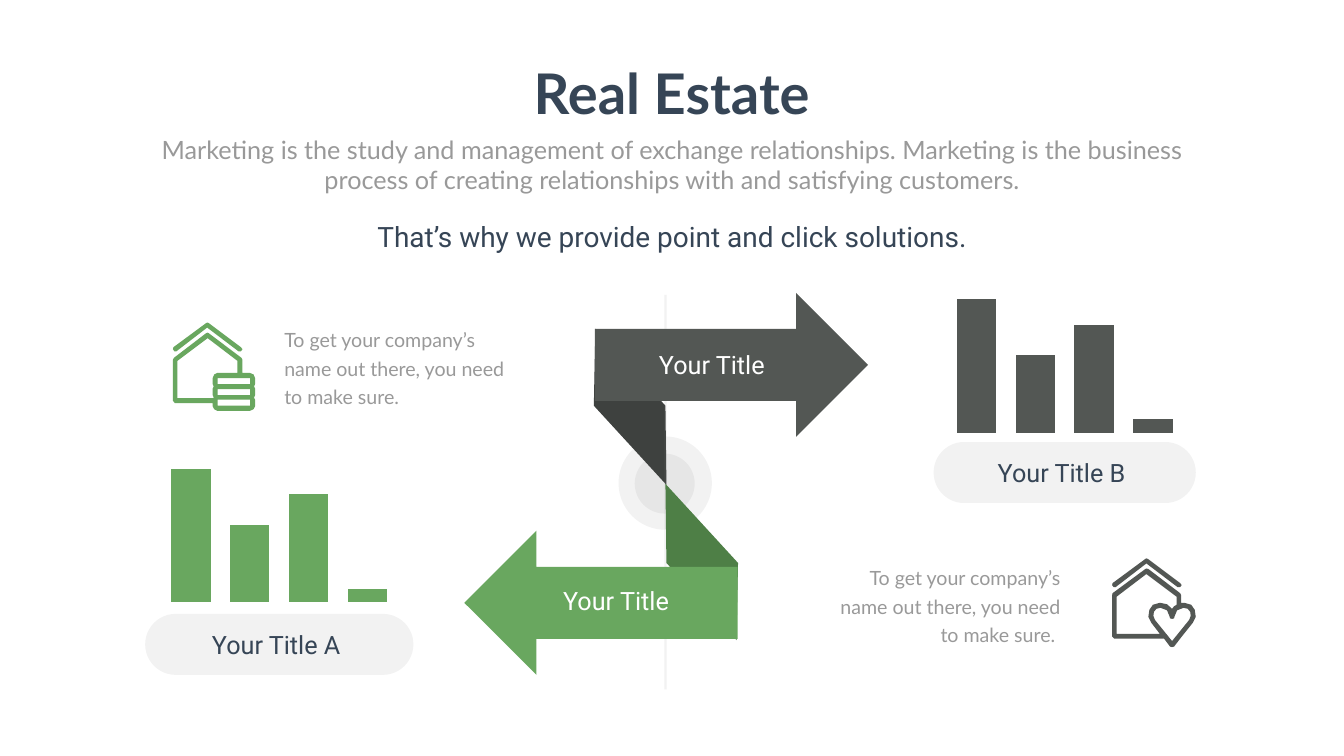
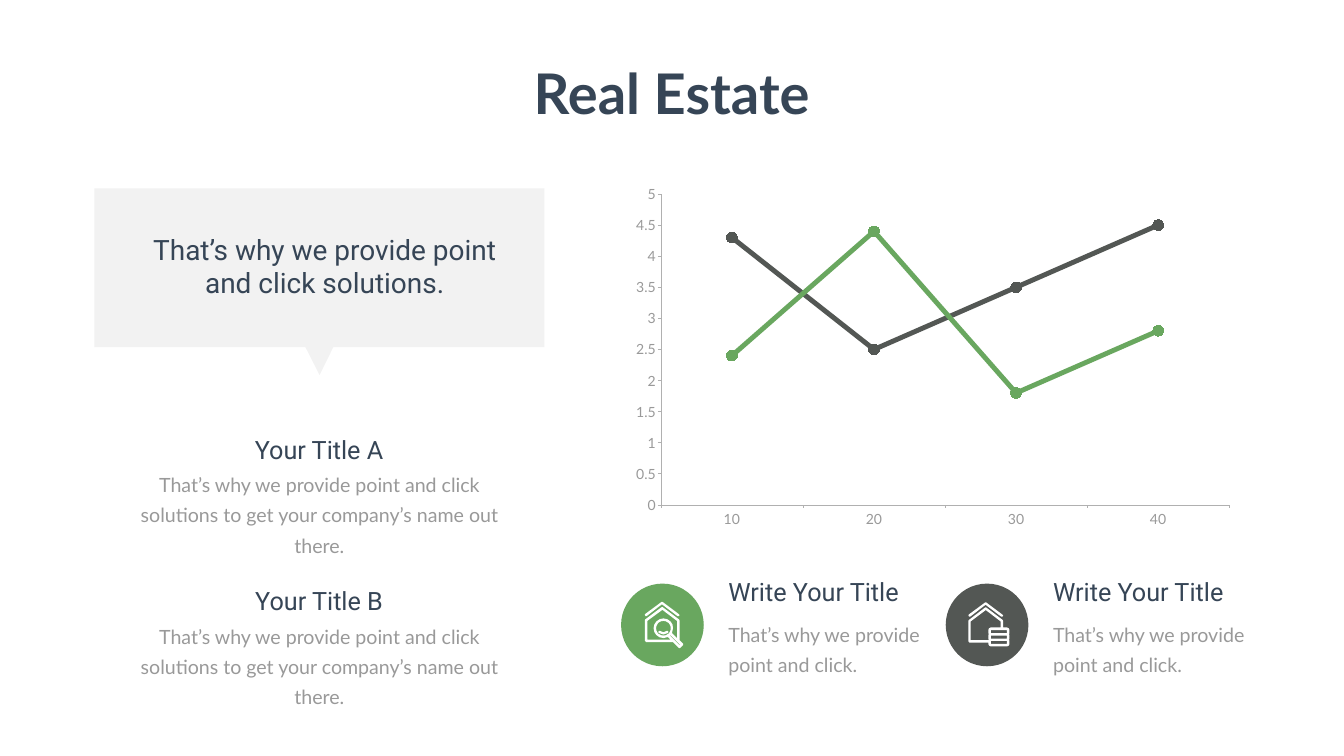
"""Build two real estate slides: a comparison of two options and a trend chart."""
from math import cos, pi, sin

from lxml import etree
from pptx import Presentation
from pptx.chart.data import CategoryChartData
from pptx.dml.color import RGBColor
from pptx.enum.chart import XL_CHART_TYPE, XL_MARKER_STYLE, XL_TICK_MARK
from pptx.enum.shapes import MSO_CONNECTOR, MSO_SHAPE
from pptx.enum.text import MSO_AUTO_SIZE, PP_ALIGN
from pptx.oxml import parse_xml
from pptx.oxml.ns import nsdecls, qn
from pptx.util import Inches, Pt

LEFT, CENTER, RIGHT = PP_ALIGN.LEFT, PP_ALIGN.CENTER, PP_ALIGN.RIGHT
ELLIPSE, ARROW, PILL = MSO_SHAPE.OVAL, MSO_SHAPE.RIGHT_ARROW, MSO_SHAPE.ROUNDED_RECTANGLE
COLUMNS, LINES = XL_CHART_TYPE.COLUMN_CLUSTERED, XL_CHART_TYPE.LINE_MARKERS
CIRCLE_MARKER = XL_MARKER_STYLE.CIRCLE
TICK_OUTSIDE, TICK_NONE = XL_TICK_MARK.OUTSIDE, XL_TICK_MARK.NONE
STRAIGHT = MSO_CONNECTOR.STRAIGHT
FIT_SHAPE, FIT_NONE = MSO_AUTO_SIZE.SHAPE_TO_FIT_TEXT, MSO_AUTO_SIZE.NONE

NAVY = RGBColor(0x36, 0x45, 0x56)
GRAY = RGBColor(0x99, 0x99, 0x99)
AXIS_GRAY = RGBColor(0xB0, 0xB0, 0xB0)
VEIL = RGBColor(0x80, 0x80, 0x80)
GREEN = RGBColor(0x69, 0xA7, 0x5F)
DARK_GREEN = RGBColor(0x4E, 0x7F, 0x46)
CHARCOAL = RGBColor(0x53, 0x57, 0x54)
DARK_CHARCOAL = RGBColor(0x3E, 0x41, 0x3F)
WHITE = RGBColor(0xFF, 0xFF, 0xFF)
VEIL_OPACITY = 10
HEADING, BODY = "Roboto", "Lato"

ROOF = [[(7, 57), (68, 10), (130, 57), (135, 57), (138, 53), (135, 49),
         (71, 1), (68, 0), (66, 1), (1, 49), (0, 53), (3, 57)]]
HEART_HOUSE = [
    [(85, 122), (82, 114), (83, 106), (88, 100), (96, 98), (109, 103), (114, 115),
     (115, 119), (119, 120), (123, 119), (124, 115), (129, 103), (142, 98),
     (150, 100), (155, 106), (156, 114), (153, 122), (119, 164)],
    [(9, 76), (68, 31), (128, 76), (128, 92), (123, 95), (119, 100), (109, 91),
     (95, 88), (81, 92), (74, 102), (72, 116), (78, 128), (95, 150), (9, 150)],
    [(160, 128), (166, 116), (164, 102), (157, 92), (143, 88), (137, 88), (137, 73),
     (135, 69), (72, 21), (68, 20), (66, 21), (1, 69), (0, 73), (0, 155), (4, 159),
     (103, 159), (115, 175), (119, 176), (123, 175), (136, 158)],
]
STACK_HOUSE = [[(89, y), (153, y), (153, y + 12), (89, y + 12)] for y in (110, 132, 153)] + [
    [(9, 76), (69, 31), (128, 76), (128, 100), (88, 100), (82, 103), (79, 110),
     (79, 122), (81, 127), (79, 131), (79, 144), (81, 149), (80, 150), (9, 150)],
    [(163, 110), (160, 103), (153, 100), (138, 100), (138, 74), (136, 70), (71, 21),
     (69, 20), (66, 21), (2, 70), (0, 74), (0, 155), (4, 160), (79, 160), (79, 166),
     (82, 172), (88, 175), (153, 175), (160, 172), (163, 166), (163, 153), (161, 149),
     (163, 144), (163, 131), (161, 127), (163, 122)],
]
SEARCH_HOUSE = [
    [(100, 134), (102, 132), (140, 170), (138, 172)],
    [(74 + 29 * cos(step * pi / 12), 105 + 29 * sin(step * pi / 12)) for step in range(24)],
    [(10, 76), (70, 32), (128, 76), (128, 144), (108, 124), (112, 105), (110, 90),
     (102, 78), (89, 69), (74, 66), (59, 69), (46, 78), (38, 90), (35, 105), (38, 120),
     (46, 132), (59, 141), (74, 144), (92, 140), (102, 150), (10, 150)],
    [(152, 166), (138, 152), (138, 74), (136, 70), (72, 22), (69, 20), (66, 22),
     (2, 70), (0, 74), (0, 154), (6, 160), (112, 160), (134, 182), (138, 184),
     (142, 182), (152, 172)],
]
LENS_SHINE = [[(92, 116), (86, 116), (74, 121), (62, 116), (56, 116), (54, 120),
               (56, 124), (74, 130), (92, 124), (94, 120)]]
RIBBON_FOLD = [(3, 0), (142, 153), (144, 310), (0, 153)]
CALLOUT = [[(0, 0), (893, 0), (893, 315), (474, 315), (447, 370), (419, 315), (0, 315)]]


def add_figure(slide, figure, box, color, opacity=100):
    """Add a preset shape, or an outline of contours in hundredths of an inch."""
    if isinstance(figure, list):
        left, top, scale = box
        builder = slide.shapes.build_freeform(*figure[0][0], scale=Inches(scale) / 100)
        for number, contour in enumerate(figure):
            if number:
                builder.move_to(*contour[0])
            builder.add_line_segments(contour[1:], close=True)
        shape = builder.convert_to_shape(Inches(left), Inches(top))
    else:
        shape = slide.shapes.add_shape(figure, *map(Inches, box))
    shape.shadow.inherit = False
    shape.line.fill.background()
    shape.fill.solid()
    shape.fill.fore_color.rgb = color
    if opacity < 100:
        fill_color = next(shape._element.spPr.iter(qn("a:srgbClr")))
        etree.SubElement(fill_color, qn("a:alpha")).set("val", str(opacity * 1000))
    return shape


def add_text(slide, text, box, size, font, color, align=LEFT, spacing=None, bold=None, wrap=True):
    """Add a one-paragraph text box."""
    frame = slide.shapes.add_textbox(*map(Inches, box)).text_frame
    frame.word_wrap = wrap
    frame.auto_size = FIT_SHAPE if wrap else FIT_NONE
    paragraph = frame.paragraphs[0]
    paragraph.alignment = align
    if spacing:
        paragraph.line_spacing = Pt(spacing)
    run = paragraph.add_run()
    run.text = text
    run.font.size = Pt(size)
    run.font.name = font
    run.font.bold = bold
    run.font.color.rgb = color


presentation = Presentation()
presentation.slide_width = Inches(26.66)
presentation.slide_height = Inches(15)
blank = presentation.slide_layouts[6]
comparison = presentation.slides.add_slide(blank)
trend = presentation.slides.add_slide(blank)

for slide in (comparison, trend):
    add_text(slide, "Real Estate", (10.41, 1.12, 5.83, 1.45), 80, BODY, NAVY, CENTER,
             bold=True, wrap=False)

add_text(comparison, "Marketing is the study and management of exchange relationships. "
         "Marketing is the business process of creating relationships with and satisfying customers.",
         (2.92, 2.61, 20.82, 1.31), 36, BODY, GRAY, CENTER)
add_text(comparison, "That’s why we provide point and click solutions.",
         (6.91, 4.31, 12.84, 0.77), 40, HEADING, NAVY, CENTER)

add_figure(comparison, ELLIPSE, (12.27, 8.66, 1.85, 1.85), VEIL, VEIL_OPACITY)
add_figure(comparison, ELLIPSE, (12.59, 9, 1.19, 1.19), VEIL, VEIL_OPACITY)
add_figure(comparison, [RIBBON_FOLD], (11.78, 6.52, 1), DARK_CHARCOAL)

divider = comparison.shapes.add_connector(
    STRAIGHT, Inches(13.2), Inches(5.85), Inches(13.2), Inches(13.68))
divider.line.width = Pt(3)
divider.line.color.rgb = VEIL
divider_color = next(divider._element.spPr.iter(qn("a:srgbClr")))
etree.SubElement(divider_color, qn("a:alpha")).set("val", str(VEIL_OPACITY * 1000))
etree.SubElement(divider._element.spPr, qn("a:effectLst"))

add_figure(comparison, ARROW, (11.8, 5.81, 5.42, 2.86), CHARCOAL)
add_figure(comparison, [[(144 - x, 310 - y) for x, y in RIBBON_FOLD]], (13.2, 9.6, 1), DARK_GREEN)
add_figure(comparison, ARROW, (9.21, 10.53, 5.42, 2.86), GREEN).rotation = 180
for left, top in ((12.33, 6.89), (10.43, 11.57)):
    add_text(comparison, "Your Title", (left, top, 3.58, 0.71), 36, HEADING, WHITE, CENTER)

for label, color, chart_left, chart_top, pill_box, label_left in (
    ("Your Title A ", GREEN, 3.11, 8.71, (2.88, 12.18, 5.32, 1.21), 2.68),
    ("Your Title B ", CHARCOAL, 18.69, 5.34, (18.52, 8.77, 5.2, 1.21), 18.26),
):
    pill = add_figure(comparison, PILL, pill_box, VEIL, VEIL_OPACITY)
    pill.adjustments[0] = 0.5
    column_data = CategoryChartData()
    column_data.categories = ["1", "2", "3", "4"]
    column_data.add_series("Series 1", (100, 58, 81, 10))
    chart = comparison.shapes.add_chart(
        COLUMNS, Inches(chart_left), Inches(chart_top), Inches(4.86), Inches(3.31), column_data).chart
    chart.has_legend = False
    chart.has_title = False
    chart.font.size = Pt(18)
    chart.font.name = "Calibri"
    chart.font.color.rgb = GRAY
    chart.category_axis.visible = False
    chart.value_axis.visible = False
    chart.value_axis.has_major_gridlines = False
    chart.value_axis.minimum_scale = 0
    chart.value_axis.maximum_scale = 120
    plot = chart.plots[0]
    plot.gap_width = 50
    plot.vary_by_categories = False
    plot.series[0].format.fill.solid()
    plot.series[0].format.fill.fore_color.rgb = color
    add_text(comparison, label, (label_left, pill_box[1] + 0.25, 5.72, 0.71),
             36, HEADING, NAVY, CENTER)

for ending, box, align in (("sure.", (5.54, 6.36, 4.61, 1.77), LEFT),
                           ("sure. ", (16.29, 11.08, 4.84, 1.77), RIGHT)):
    add_text(comparison, "To get your company’s name out there, you need to make " + ending,
             box, 28, BODY, GRAY, align, 40.8)

add_figure(trend, CALLOUT, (1.87, 3.74, 1), VEIL, VEIL_OPACITY)
add_text(trend, "That’s why we provide point and click solutions.",
         (2.64, 4.56, 7.6, 1.45), 40, HEADING, NAVY, CENTER)
for title, top in (("Your Title A", 8.56), ("Your Title B", 11.57)):
    add_text(trend, title, (3.47, top, 5.72, 0.71), 36, HEADING, NAVY, CENTER)
    add_text(trend, "That’s why we provide point and click solutions to get your company’s name out there.",
             (2.25, top + 0.65, 8.17, 1.24), 28, BODY, GRAY, CENTER, 43)

line_data = CategoryChartData()
line_data.categories = ["10", "20", "30", "40"]
line_data.add_series("Series 1", (4.3, 2.5, 3.5, 4.5))
line_data.add_series("Series 2", (2.4, 4.4, 1.8, 2.8))
chart = trend.shapes.add_chart(
    LINES, Inches(11.71), Inches(3.54), Inches(13.08), Inches(7.38), line_data).chart
chart.has_legend = False
chart.has_title = False
chart.font.size = Pt(20)
chart.font.name = BODY
chart.font.color.rgb = GRAY
chart.value_axis.has_major_gridlines = False
chart.value_axis.minimum_scale = 0
chart.value_axis.maximum_scale = 5
chart.value_axis.major_unit = 0.5
for axis in (chart.category_axis, chart.value_axis):
    axis.major_tick_mark = TICK_OUTSIDE
    axis.minor_tick_mark = TICK_NONE
    axis.format.line.color.rgb = AXIS_GRAY
    axis.format.line.width = Pt(1)
chart.plots[0].vary_by_categories = False
for series, color in zip(chart.plots[0].series, (CHARCOAL, GREEN)):
    series.smooth = False
    series.format.line.color.rgb = color
    series.format.line.width = Pt(7)
    series.marker.style = CIRCLE_MARKER
    series.marker.size = 15
    series.marker.format.fill.solid()
    series.marker.format.fill.fore_color.rgb = color
    series.marker.format.line.color.rgb = color
plot_area = chart._chartSpace.chart.plotArea
for layout in plot_area.findall(qn("c:layout")):
    plot_area.remove(layout)
plot_area.insert(0, parse_xml(
    f'<c:layout {nsdecls("c")}><c:manualLayout><c:layoutTarget val="inner"/>'
    '<c:xMode val="edge"/><c:yMode val="edge"/><c:x val="0.107"/><c:y val="0.042"/>'
    '<c:w val="0.862"/><c:h val="0.836"/></c:manualLayout></c:layout>'))

for left, color, text_width in ((12.32, GREEN, 4.07), (18.76, CHARCOAL, 4.41)):
    add_figure(trend, ELLIPSE, (left, 11.58, 1.64, 1.64), color)
    add_text(trend, "Write Your Title", (left + 2.03, 11.39, 4.41, 0.71), 36, HEADING, NAVY)
    add_text(trend, "That’s why we provide point and click.",
             (left + 2.03, 12.17, text_width, 1.24), 28, BODY, GRAY, spacing=43)

for slide, parts, box, color in (
    (comparison, (ROOF, HEART_HOUSE), (22.06, 11.08, 1), CHARCOAL),
    (comparison, (ROOF, STACK_HOUSE), (3.43, 6.4, 1), GREEN),
    (trend, (ROOF, SEARCH_HOUSE, LENS_SHINE), (12.79, 11.94, 0.5), WHITE),
    (trend, (ROOF, STACK_HOUSE), (19.21, 11.95, 0.5), WHITE),
):
    for part in parts:
        add_figure(slide, part, box, color)

presentation.save("out.pptx")
